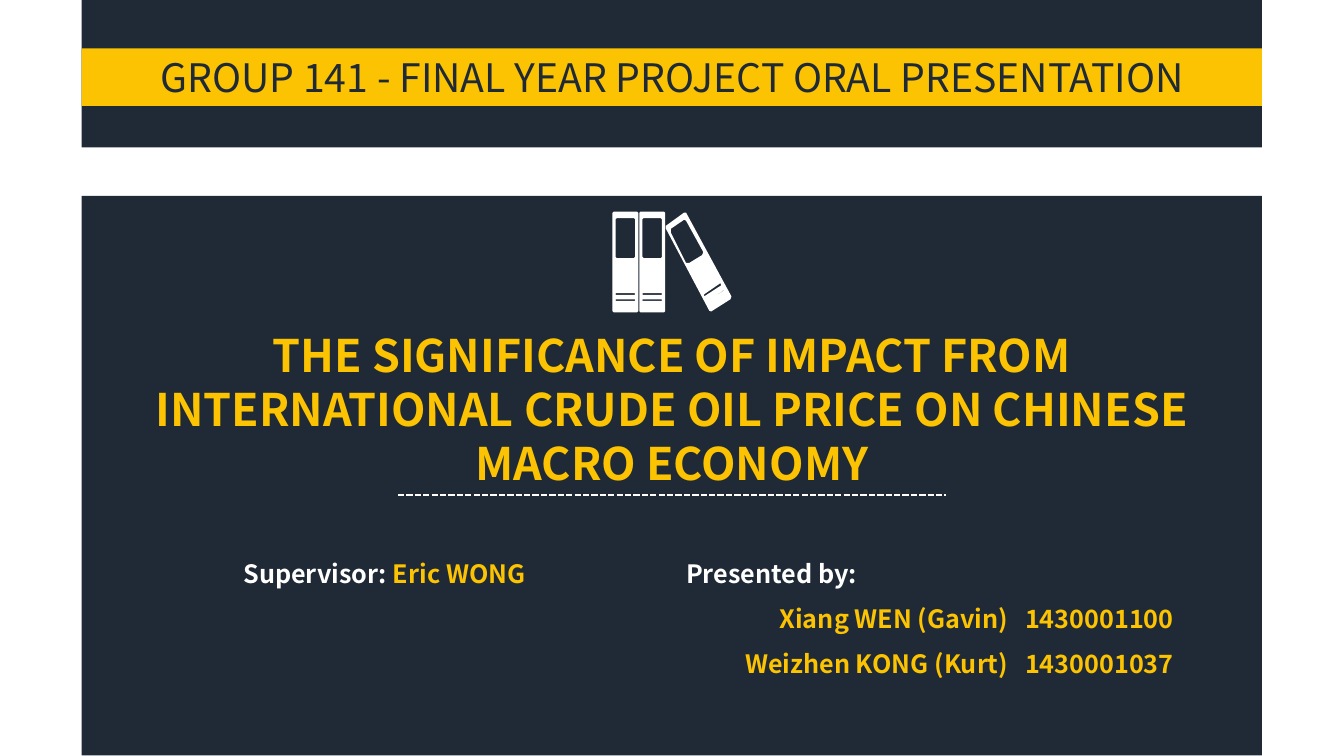
import dataclasses

import lxml.etree
import pptx
import pptx.dml.color
import pptx.enum.dml
import pptx.enum.shapes
import pptx.enum.text
import pptx.oxml.ns
import pptx.util

Pt = pptx.util.Pt
qn = pptx.oxml.ns.qn
Align = pptx.enum.text.PP_ALIGN
Anchor = pptx.enum.text.MSO_ANCHOR

COLORS = {"navy": "202A36", "yellow": "FBC301", "white": "FFFFFF"}
FONT = "Noto Sans CJK SC"
BAND_LEFT, BAND_WIDTH = 58.4, 843.4

Contour = list[tuple[float, float]]


@dataclasses.dataclass(frozen=True)
class Area:
    left: float
    top: float
    width: float
    height: float

    def lengths(self) -> list[pptx.util.Length]:
        return [Pt(value) for value in dataclasses.astuple(self)]


@dataclasses.dataclass(frozen=True)
class Span:
    text: str
    color: str
    size: float = 18
    bold: bool = True
    tracking: float = 0


@dataclasses.dataclass(frozen=True)
class Band:
    top: float
    height: float
    color: str


@dataclasses.dataclass(frozen=True)
class Student:
    name: str
    number: str


BANDS = [Band(0, 105.4, "navy"), Band(139.9, 399.8, "navy"), Band(34.6, 41, "yellow")]
STUDENTS = [Student("Xiang WEN (Gavin)", "1430001100"),
            Student("Weizhen KONG (Kurt)", "1430001037")]
WIDE_SPACE = Span(" ", "yellow", tracking=8)  # sets names apart from numbers

LEANING_BINDER: list[Contour] = [
    [(522.7, 211.7), (490.3, 151.9), (488.9, 151.9), (475.9, 161.3),
     (475.9, 163.4), (506.9, 222), (508.3, 222.5), (522, 213.8)],
    [(501.8, 182.2), (492.5, 187.9), (490.3, 187.9), (479.5, 166.3),
     (479.5, 163.4), (488.9, 157), (490.3, 157.7), (502.6, 180)],
    [(503.3, 211.7), (503.3, 210.2), (514.8, 202.3), (515.5, 203.8)],
    [(505.4, 215.3), (517, 207.4), (517.7, 207.4)],
]


def rgb(color: str) -> pptx.dml.color.RGBColor:
    return pptx.dml.color.RGBColor.from_string(COLORS[color])


def paint(shape, color: str) -> None:
    shape.shadow.inherit = False
    shape.fill.solid()
    shape.fill.fore_color.rgb = rgb(color)
    shape.line.fill.background()


def add_spans(para, spans: list[Span], align: Align, spacing: float = 1) -> None:
    para.alignment = align
    para.line_spacing = spacing
    para.space_before = Pt(0)
    for span in spans:
        run = para.add_run()
        run.text = span.text
        run.font.name = FONT
        run.font.size = Pt(span.size)
        run.font.bold = span.bold
        run.font.color.rgb = rgb(span.color)
        if span.tracking:
            run._r.get_or_add_rPr().set("spc", str(round(span.tracking * 100)))


def prepare_box(box, area: Area):
    """Place a text box or placeholder in front, with no insets."""
    box.left, box.top, box.width, box.height = area.lengths()
    box.element.getparent().append(box.element)
    frame = box.text_frame
    frame.word_wrap = True
    frame.auto_size = pptx.enum.text.MSO_AUTO_SIZE.NONE
    frame.vertical_anchor = Anchor.TOP
    frame.margin_left = frame.margin_top = frame.margin_right = frame.margin_bottom = 0
    return frame


def remove_bullet(para) -> None:
    """Drop the bullet and its indent."""
    properties = para._p.get_or_add_pPr()
    properties.set("marL", "0")
    properties.set("indent", "0")
    lxml.etree.SubElement(properties, qn("a:buNone"))


def cut_rectangle(area: Area, cut: float = 0.9) -> Contour:
    """Outline of a rectangle with clipped corners."""
    left, top = area.left, area.top
    right, bottom = left + area.width, top + area.height
    return [(left + cut, top), (right - cut, top), (right, top + cut), (right, bottom - cut),
            (right - cut, bottom), (left + cut, bottom), (left, bottom - cut), (left, top + cut)]


def upright_binder(left: float) -> list[Contour]:
    return [cut_rectangle(Area(left, 151.2, 18.5, 72)),
            cut_rectangle(Area(left + 2.2, 155.8, 14, 28.6)),
            cut_rectangle(Area(left + 2.2, 209.5, 14, 1.1), 0.3),
            cut_rectangle(Area(left + 2.2, 213.9, 14, 1.1), 0.3)]


def add_binders(slide) -> None:
    contours = upright_binder(437.7) + upright_binder(456.9) + LEANING_BINDER
    outlines = [[(Pt(x), Pt(y)) for x, y in contour] for contour in contours]
    builder = slide.shapes.build_freeform(*outlines[0][0])
    for index, (start, *rest) in enumerate(outlines):
        if index:
            builder.move_to(*start)
        builder.add_line_segments(rest, close=True)
    paint(builder.convert_to_shape(), "white")


def add_divider(slide) -> None:
    divider = slide.shapes.add_connector(
        pptx.enum.shapes.MSO_CONNECTOR.STRAIGHT, Pt(284.4), Pt(353.5), Pt(676.1), Pt(353.5))
    divider.line.color.rgb = rgb("white")
    divider.line.width = Pt(1.5)
    divider.line.dash_style = pptx.enum.dml.MSO_LINE.SQUARE_DOT
    lxml.etree.SubElement(divider.element.find(qn("p:spPr")), qn("a:effectLst"))


def main() -> None:
    deck = pptx.Presentation()
    deck.slide_width, deck.slide_height = Pt(960.5), Pt(540)
    page = deck.slides.add_slide(deck.slide_layouts[1])

    # Background bands; the last one carries the heading
    for band in BANDS:
        banner = page.shapes.add_shape(
            pptx.enum.shapes.MSO_SHAPE.RECTANGLE,
            *Area(BAND_LEFT, band.top, BAND_WIDTH, band.height).lengths())
        paint(banner, band.color)
    banner.text_frame.vertical_anchor = Anchor.MIDDLE
    add_spans(banner.text_frame.paragraphs[0],
              [Span("GROUP 141 - FINAL YEAR PROJECT ORAL PRESENTATION", "navy", 28, False)],
              Align.CENTER)

    # Icon and divider
    add_binders(page)
    add_divider(page)

    # Project title
    title = prepare_box(page.shapes.title, Area(90.7, 234.2, 779, 116.6))
    add_spans(title.paragraphs[0],
              [Span("THE SIGNIFICANCE OF IMPACT FROM INTERNATIONAL CRUDE OIL PRICE "
                    "ON CHINESE MACRO ECONOMY", "yellow", 32)], Align.CENTER)

    # Supervisor
    supervisor_area = Area(164.2, 388.1, 221, 28.8)
    supervisor = prepare_box(page.shapes.add_textbox(*supervisor_area.lengths()), supervisor_area)
    add_spans(supervisor.paragraphs[0],
              [Span("Supervisor:", "white"), Span(" Eric WONG", "yellow")], Align.CENTER, 1.5)

    # Presenters
    presenters = prepare_box(page.placeholders[1], Area(490.3, 387.8, 348.5, 94.3))
    lead = presenters.paragraphs[0]
    remove_bullet(lead)
    add_spans(lead, [Span("Presented by:", "white")], Align.LEFT, 1.5)
    for student in STUDENTS:
        para = presenters.add_paragraph()
        remove_bullet(para)
        add_spans(para, [Span(student.name, "yellow"), WIDE_SPACE,
                         Span(student.number, "yellow")], Align.RIGHT, 1.5)

    deck.save("out.pptx")


if __name__ == "__main__":
    main()
